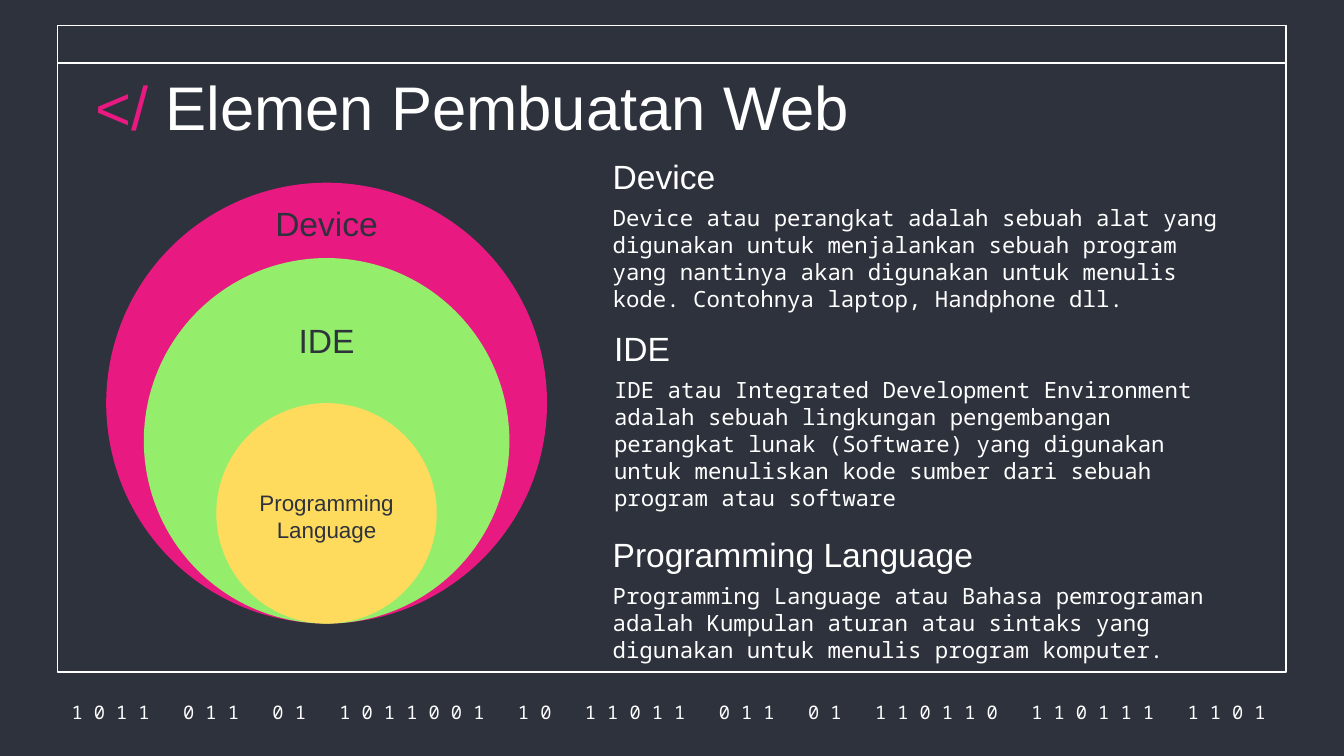
"""Build a slide on the elements of web making, with nested circles."""
from dataclasses import dataclass

from pptx import Presentation
from pptx.dml.color import RGBColor
from pptx.enum.shapes import MSO_SHAPE
from pptx.enum.text import MSO_ANCHOR, PP_ALIGN
from pptx.util import Inches, Pt

RECT, OVAL = MSO_SHAPE.RECTANGLE, MSO_SHAPE.OVAL
TOP, MIDDLE, BOTTOM = MSO_ANCHOR.TOP, MSO_ANCHOR.MIDDLE, MSO_ANCHOR.BOTTOM
LEFT, CENTER = PP_ALIGN.LEFT, PP_ALIGN.CENTER


@dataclass(frozen=True)
class Theme:
    dark: str = "2D323C"
    white: str = "FFFFFF"
    pink: str = "E81981"
    green: str = "94EE6B"
    yellow: str = "FFDB5D"
    sans: str = "Arial"
    mono: str = "Noto Sans Mono"
    title: int = 33
    head: int = 18
    body: int = 12
    code: int = 10


@dataclass(frozen=True)
class Box:
    x: float
    y: float
    w: float
    h: float

    def place(self) -> tuple:
        return tuple(Inches(n) for n in (self.x, self.y, self.w, self.h))


@dataclass(frozen=True)
class Ring:
    label: str
    size: float
    color: str
    text_y: float
    points: int


@dataclass(frozen=True)
class Topic:
    head: str
    body: str
    x: float
    y: float


THEME = Theme()
WIDTH = 10
HEIGHT = WIDTH * 9 / 16
CENTER_X, BASE_Y = 2.43, 4.64
LABEL_W, TOPIC_W = 1.39, 4.75
FRAME = Box(0.43, 0.19, 9.14, 4.81)
BAR = Box(FRAME.x, FRAME.y, FRAME.w, 0.28)
BITS = "1011 011 01 1011001 10 11011 011 01 110110 110111 1101"

RINGS = [
    Ring("Device", 3.28, THEME.pink, 1.41, THEME.head),
    Ring("IDE", 2.72, THEME.green, 2.28, THEME.head),
    Ring("Programming Language", 1.64, THEME.yellow, 3.54, THEME.body),
]

TOPICS = [
    Topic("Device",
          "Device atau perangkat adalah sebuah alat yang digunakan untuk "
          "menjalankan sebuah program yang nantinya akan digunakan untuk "
          "menulis kode. Contohnya laptop, Handphone dll.", 4.46, 1.1),
    Topic("IDE",
          "IDE atau Integrated Development Environment adalah sebuah "
          "lingkungan pengembangan perangkat lunak (Software) yang digunakan "
          "untuk menuliskan kode sumber dari sebuah program atau software",
          4.47, 2.38),
    Topic("Programming Language",
          "Programming Language atau Bahasa pemrograman adalah Kumpulan "
          "aturan atau sintaks yang digunakan untuk menulis program komputer.",
          4.46, 3.91),
]


def add_text(slide, box: Box, *runs: tuple[str, str], size: int,
             font: str = THEME.sans, align=LEFT, anchor=TOP,
             after: int = 0) -> None:
    frame = slide.shapes.add_textbox(*box.place()).text_frame
    frame.word_wrap = True
    frame.vertical_anchor = anchor
    frame.margin_left = frame.margin_right = Inches(0.1)
    frame.margin_top = frame.margin_bottom = Inches(0.1)
    para = frame.paragraphs[0]
    para.alignment = align
    para.space_after = Pt(after)
    for text, color in runs:
        run = para.add_run()
        run.text = text
        run.font.name = font
        run.font.size = Pt(size)
        run.font.color.rgb = RGBColor.from_string(color)


def add_shape(slide, kind, box: Box, fill: str, line: str = "") -> None:
    shape = slide.shapes.add_shape(kind, *box.place())
    shape.shadow.inherit = False
    shape.fill.solid()
    shape.fill.fore_color.rgb = RGBColor.from_string(fill)
    if line:
        shape.line.color.rgb = RGBColor.from_string(line)
        shape.line.width = Pt(0.75)
    else:
        shape.line.fill.background()


def add_ring(slide, ring: Ring) -> None:
    box = Box(CENTER_X - ring.size / 2, BASE_Y - ring.size, ring.size, ring.size)
    add_shape(slide, OVAL, box, ring.color)


def add_label(slide, ring: Ring) -> None:
    box = Box(CENTER_X - LABEL_W / 2, ring.text_y, LABEL_W, 0.56)
    add_text(slide, box, (ring.label, THEME.dark), size=ring.points, align=CENTER)


def add_topic(slide, topic: Topic) -> None:
    add_text(slide, Box(topic.x, topic.y, TOPIC_W, 0.46),
             (topic.head, THEME.white), size=THEME.head, anchor=BOTTOM)
    add_text(slide, Box(topic.x, topic.y + 0.32, TOPIC_W, 0.92),
             (topic.body, THEME.white), size=THEME.body, font=THEME.mono, after=16)


def main() -> None:
    deck = Presentation()
    deck.slide_width, deck.slide_height = Inches(WIDTH), Inches(HEIGHT)
    slide = deck.slides.add_slide(deck.slide_layouts[6])
    back = slide.background.fill
    back.solid()
    back.fore_color.rgb = RGBColor.from_string(THEME.dark)

    for box in (FRAME, BAR):
        add_shape(slide, RECT, box, THEME.dark, THEME.white)
    code = "   ".join(" ".join(group) for group in BITS.split()) + " "
    add_text(slide, Box(0.38, 5.2, 9.27, 0.2), (code, THEME.white),
             size=THEME.code, font=THEME.mono, align=CENTER, anchor=MIDDLE)
    for topic in TOPICS:
        add_topic(slide, topic)
    add_text(slide, Box(0.61, 0.41, 8.43, 0.63), ("</ ", THEME.pink),
             ("Elemen Pembuatan Web", THEME.white), size=THEME.title)
    for ring in RINGS:
        add_ring(slide, ring)
    for ring in RINGS:
        add_label(slide, ring)
    deck.save("out.pptx")


if __name__ == "__main__":
    main()
